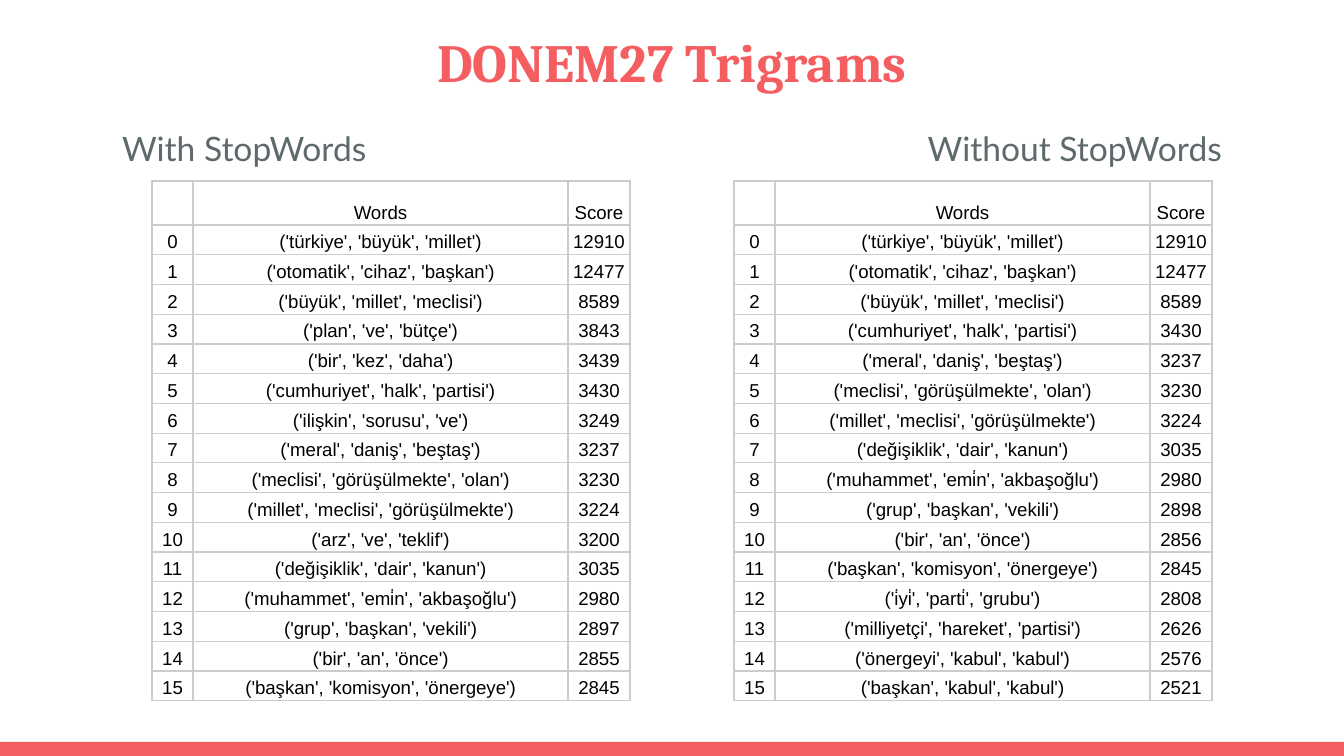
from dataclasses import dataclass

from pptx import Presentation
from pptx.dml.color import RGBColor
from pptx.enum.shapes import MSO_SHAPE
from pptx.enum.text import MSO_ANCHOR, PP_ALIGN
from pptx.oxml import parse_xml
from pptx.oxml.ns import nsdecls
from pptx.util import Pt


@dataclass
class Theme:
    coral: str = "F55E61"
    slate: str = "5E696C"
    black: str = "000000"
    grid: str = "CCCCCC"
    title_size: float = 28.8
    heading_size: float = 18
    cell_size: float = 10
    title_font: str = "Cambria"
    heading_font: str = "Lato"
    cell_font: str = "Arial"


theme = Theme()
PX = 914400 / 134.4


def px(count):
    return round(count * PX)


def write(frame, text, size, font, color, align, spacing=None, bold=False):
    paragraph = frame.paragraphs[0]
    paragraph.alignment = align
    paragraph.line_spacing = spacing
    run = paragraph.add_run()
    run.text = text
    run.font.size = Pt(size)
    run.font.name = font
    run.font.bold = bold
    run.font.color.rgb = RGBColor.from_string(color)


deck = Presentation()
deck.slide_width, deck.slide_height = px(1344), px(756)
slide = deck.slides.add_slide(deck.slide_layouts[6])

# Bottom band
band = slide.shapes.add_shape(MSO_SHAPE.RECTANGLE, 0, px(742), px(1344), px(14))
band.shadow.inherit = False
band.fill.solid()
band.fill.fore_color.rgb = RGBColor.from_string(theme.coral)
band.line.fill.background()

# Title and the two headings
title = slide.shapes.add_textbox(px(46), px(16), px(1252), px(91)).text_frame
title.word_wrap = True
title.vertical_anchor = MSO_ANCHOR.MIDDLE
write(title, "DONEM27 Trigrams", theme.title_size, theme.title_font,
      theme.coral, PP_ALIGN.CENTER, bold=True)

for heading, left, align in [
    ("With StopWords", 109, PP_ALIGN.LEFT),
    ("Without StopWords", 735, PP_ALIGN.RIGHT),
]:
    frame = slide.shapes.add_textbox(px(left), px(109), px(500), px(73)).text_frame
    frame.word_wrap = True
    frame.margin_left = frame.margin_right = px(13)
    frame.margin_top = frame.margin_bottom = px(13)
    write(frame, heading, theme.heading_size, theme.heading_font,
          theme.slate, align, 1.15)

# Trigram scores
with_stopwords = [
    ("('türkiye', 'büyük', 'millet')", 12910),
    ("('otomatik', 'cihaz', 'başkan')", 12477),
    ("('büyük', 'millet', 'meclisi')", 8589),
    ("('plan', 've', 'bütçe')", 3843),
    ("('bir', 'kez', 'daha')", 3439),
    ("('cumhuriyet', 'halk', 'partisi')", 3430),
    ("('ilişkin', 'sorusu', 've')", 3249),
    ("('meral', 'daniş', 'beştaş')", 3237),
    ("('meclisi', 'görüşülmekte', 'olan')", 3230),
    ("('millet', 'meclisi', 'görüşülmekte')", 3224),
    ("('arz', 've', 'teklif')", 3200),
    ("('değişiklik', 'dair', 'kanun')", 3035),
    ("('muhammet', 'emi̇n', 'akbaşoğlu')", 2980),
    ("('grup', 'başkan', 'vekili')", 2897),
    ("('bir', 'an', 'önce')", 2855),
    ("('başkan', 'komisyon', 'önergeye')", 2845),
]
without_stopwords = [
    ("('türkiye', 'büyük', 'millet')", 12910),
    ("('otomatik', 'cihaz', 'başkan')", 12477),
    ("('büyük', 'millet', 'meclisi')", 8589),
    ("('cumhuriyet', 'halk', 'partisi')", 3430),
    ("('meral', 'daniş', 'beştaş')", 3237),
    ("('meclisi', 'görüşülmekte', 'olan')", 3230),
    ("('millet', 'meclisi', 'görüşülmekte')", 3224),
    ("('değişiklik', 'dair', 'kanun')", 3035),
    ("('muhammet', 'emi̇n', 'akbaşoğlu')", 2980),
    ("('grup', 'başkan', 'vekili')", 2898),
    ("('bir', 'an', 'önce')", 2856),
    ("('başkan', 'komisyon', 'önergeye')", 2845),
    ("('i̇yi̇', 'parti̇', 'grubu')", 2808),
    ("('milliyetçi', 'hareket', 'partisi')", 2626),
    ("('önergeyi', 'kabul', 'kabul')", 2576),
    ("('başkan', 'kabul', 'kabul')", 2521),
]

# Score tables
column_widths = [41, 375, 62]
header_height, body_height = 44, 472

for left, scores in [(734, without_stopwords), (152, with_stopwords)]:
    rows = [("", "Words", "Score")]
    rows += [(index, words, score) for index, (words, score) in enumerate(scores)]
    table = slide.shapes.add_table(
        len(rows), len(column_widths), px(left), px(181),
        px(sum(column_widths)), px(header_height + body_height)).table
    table.first_row = table.horz_banding = False
    for column, width in zip(table.columns, column_widths):
        column.width = px(width)
    for row in table.rows:
        row.height = px(body_height) // len(scores)
    table.rows[0].height = px(header_height)

    for r, values in enumerate(rows):
        for c, value in enumerate(values):
            cell = table.cell(r, c)
            cell.margin_left = cell.margin_right = px(4)
            cell.margin_top = cell.margin_bottom = px(2)
            cell.vertical_anchor = MSO_ANCHOR.BOTTOM
            if value == "":
                # Keep the empty cell from stretching the header row
                end = cell.text_frame.paragraphs[0]._p.get_or_add_endParaRPr()
                end.set("sz", str(theme.cell_size * 100))
            else:
                write(cell.text_frame, str(value), theme.cell_size, theme.cell_font,
                      theme.black, PP_ALIGN.CENTER, 1.15)
            properties = cell._tc.get_or_add_tcPr()
            for side in ("lnL", "lnR", "lnT", "lnB"):
                properties.append(parse_xml(
                    f'<a:{side} {nsdecls("a")} w="{Pt(0.75)}"><a:solidFill>'
                    f'<a:srgbClr val="{theme.grid}"/></a:solidFill></a:{side}>'))
            cell.fill.background()

deck.save("out.pptx")
